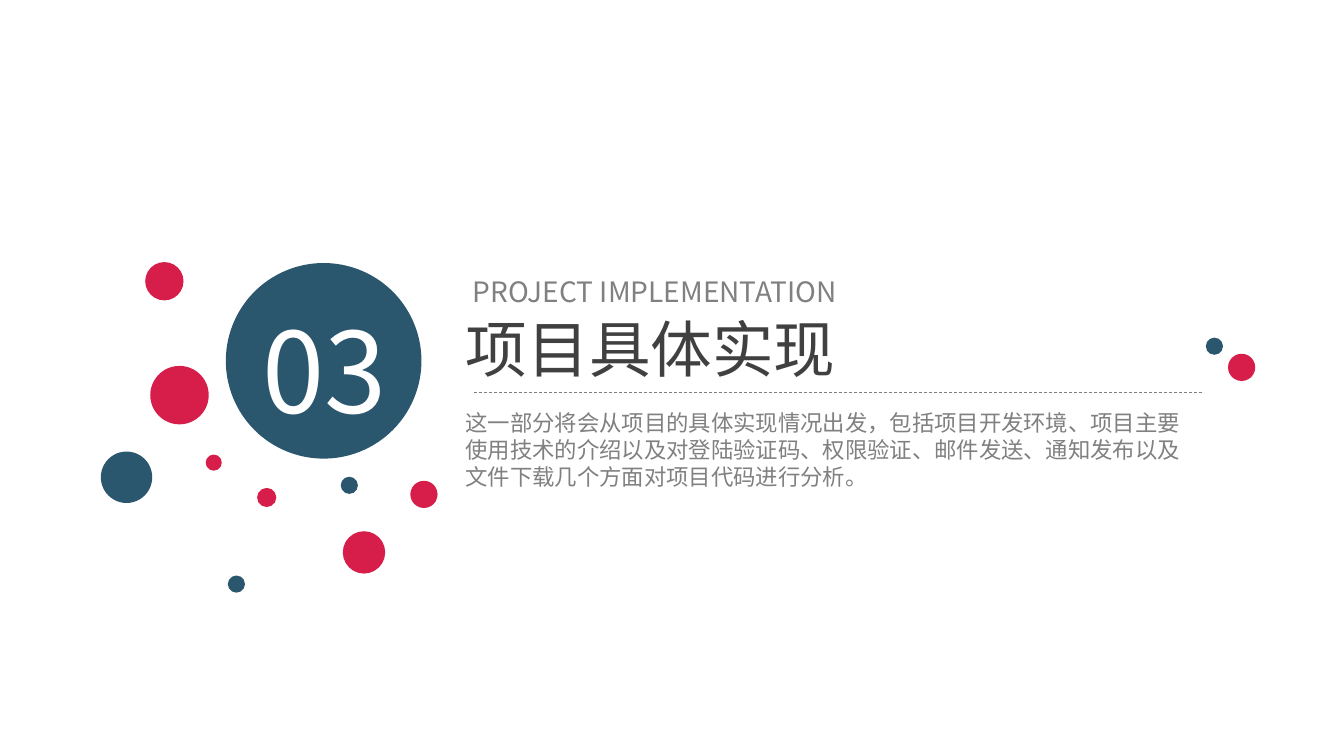
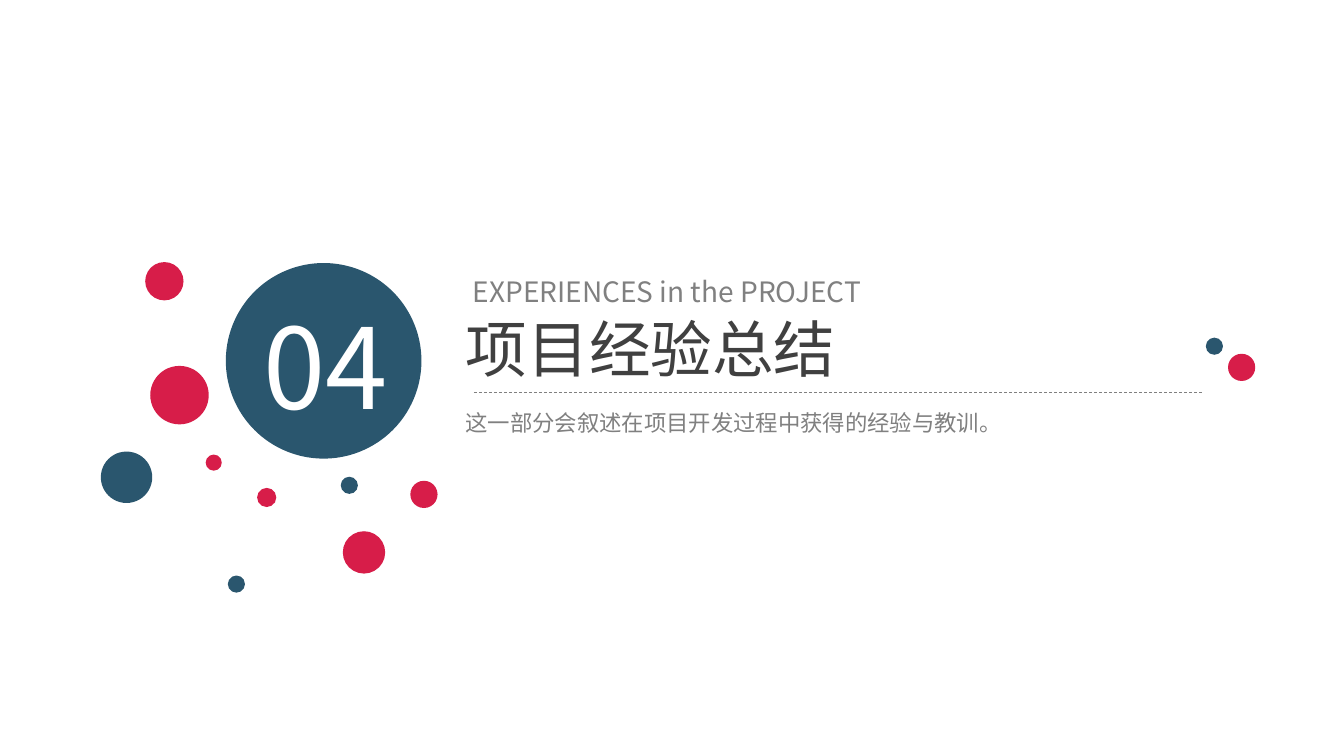
import pptx
import pptx.util
import pptx.dml.color
import pptx.enum.dml
import pptx.enum.shapes
import pptx.enum.text
import pptx.oxml
import pptx.oxml.ns
from dataclasses import dataclass

Inches = pptx.util.Inches
ALIGN = pptx.enum.text.PP_ALIGN

# Content: number, number box (left, top), English line, title, summary
SECTIONS = [
    ("03", (2.46, 2.94), "PROJECT IMPLEMENTATION", "项目具体实现",
     "这一部分将会从项目的具体实现情况出发，包括项目开发环境、项目主要使用技术的介绍以及"
     "对登陆验证码、权限验证、邮件发送、通知发布以及文件下载几个方面对项目代码进行分析。"),
    ("04", (2.47, 2.9), "EXPERIENCES in the PROJECT", "项目经验总结",
     "这一部分会叙述在项目开发过程中获得的经验与教训。"),
]


@dataclass(frozen=True)
class Theme:
    font: str = "Noto Sans CJK SC"
    blue: str = "2A566E"
    red: str = "D71D49"
    dark: str = "404040"
    gray: str = "808080"
    white: str = "FFFFFF"
    number_size: int = 80
    title_size: int = 44
    english_size: int = 20
    summary_size: int = 16


THEME = Theme()

# Circles by colour: left, top, diameter
CIRCLES = {
    THEME.blue: [(1, 4.48, 0.51), (3.38, 4.73, 0.17), (11.96, 3.35, 0.17),
                 (2.26, 5.71, 0.17), (2.24, 2.61, 1.94)],
    THEME.red: [(2.04, 4.51, 0.16), (4.07, 4.77, 0.27), (3.4, 5.27, 0.42),
                (2.55, 4.84, 0.19), (1.44, 2.6, 0.38), (1.49, 3.63, 0.58),
                (12.18, 3.51, 0.27)],
}


def rgb(color):
    return pptx.dml.color.RGBColor.from_string(color)


def write(box, text, size, color, align=ALIGN.LEFT, wrap=True):
    frame = box.text_frame
    frame.text = text
    frame.word_wrap = wrap
    frame.auto_size = pptx.enum.text.MSO_AUTO_SIZE.NONE
    frame.vertical_anchor = pptx.enum.text.MSO_ANCHOR.TOP
    para = frame.paragraphs[0]
    para.alignment = align
    para.font.name = THEME.font
    para.font.size = pptx.util.Pt(size)
    para.font.color.rgb = rgb(color)
    # Chinese characters take their font from a:ea
    latin = para._p.find(".//" + pptx.oxml.ns.qn("a:latin"))
    east_asian = pptx.oxml.parse_xml(f'<a:ea {pptx.oxml.ns.nsdecls("a")}/>')
    east_asian.set("typeface", THEME.font)
    latin.addnext(east_asian)


def add_text(page, left, top, width, height, *style, **options):
    box = page.shapes.add_textbox(*map(Inches, (left, top, width, height)))
    write(box, *style, **options)


def add_circle(page, left, top, diameter, color):
    circle = page.shapes.add_shape(pptx.enum.shapes.MSO_SHAPE.OVAL,
                                   *map(Inches, (left, top, diameter, diameter)))
    circle.shadow.inherit = False
    circle.fill.solid()
    circle.fill.fore_color.rgb = rgb(color)
    circle.line.fill.background()


def add_divider(page):
    line = page.shapes.add_connector(pptx.enum.shapes.MSO_CONNECTOR.STRAIGHT,
                                     *map(Inches, (4.7, 3.89, 11.93, 3.89)))
    line.line.color.rgb = rgb(THEME.gray)
    line.line.width = pptx.util.Pt(0.5)
    line.line.dash_style = pptx.enum.dml.MSO_LINE.DASH
    line._element.spPr.append(
        pptx.oxml.parse_xml(f'<a:effectLst {pptx.oxml.ns.nsdecls("a")}/>'))


def add_section(deck, number, number_at, english, title, summary):
    page = deck.slides.add_slide(deck.slide_layouts[5])
    for color, circles in CIRCLES.items():
        for circle in circles:
            add_circle(page, *circle, color)
    add_divider(page)

    # Heading and summary
    heading = page.shapes.title
    heading.left, heading.top, heading.width, heading.height = map(
        Inches, (4.52, 3.03, 7.02, 0.84))
    write(heading, title, THEME.title_size, THEME.dark)
    add_text(page, 4.59, 2.67, 7.02, 0.44, english, THEME.english_size, THEME.gray)
    add_text(page, 4.52, 4.01, 7.41, 0.91, summary, THEME.summary_size, THEME.gray)

    # Section number
    add_text(page, *number_at, 1.52, 1.45, number, THEME.number_size, THEME.white,
             align=ALIGN.CENTER, wrap=False)


def main():
    deck = pptx.Presentation()
    deck.slide_width, deck.slide_height = Inches(13.33), Inches(7.5)
    for section in SECTIONS:
        add_section(deck, *section)
    deck.save("out.pptx")


if __name__ == "__main__":
    main()
